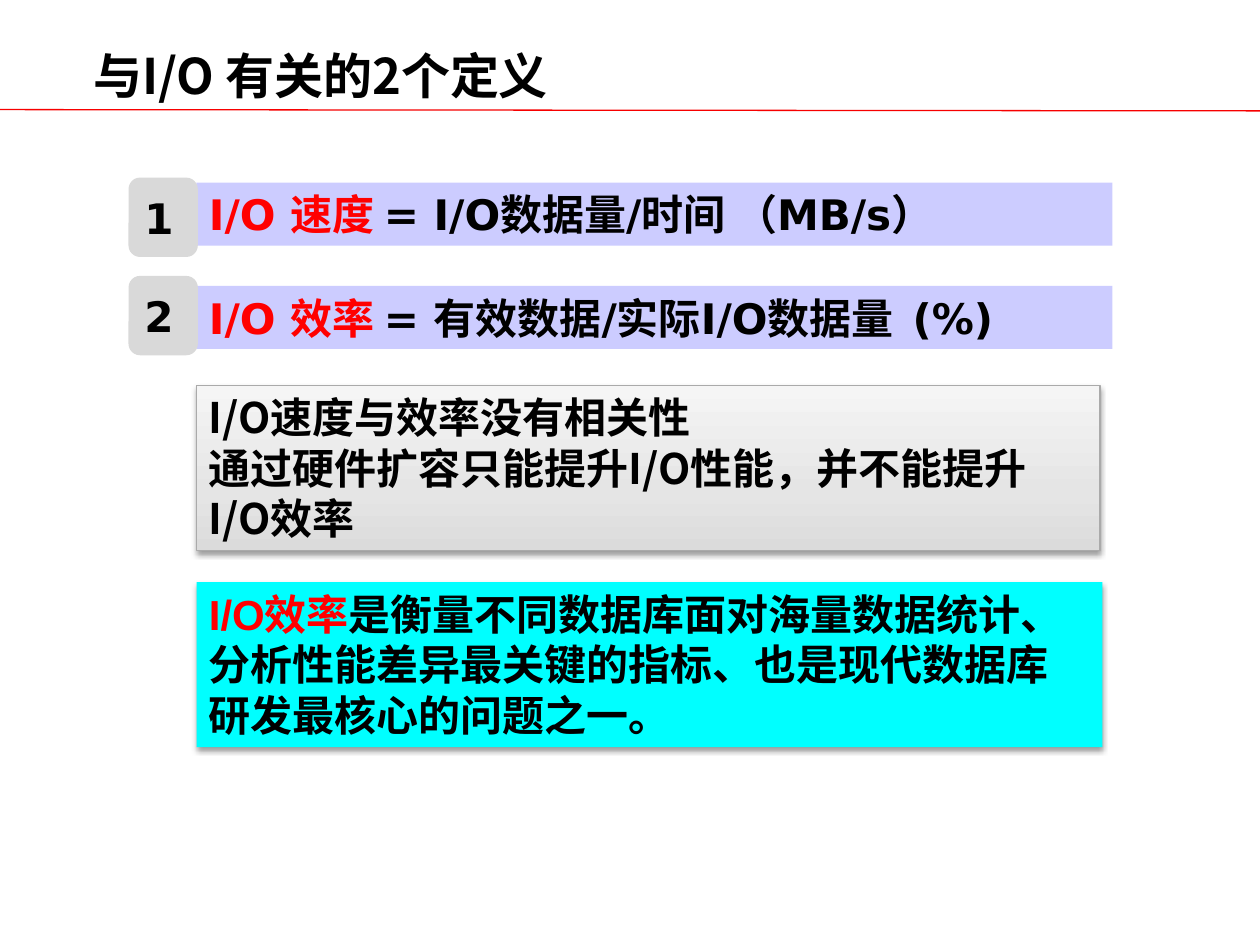
from copy import deepcopy
from dataclasses import dataclass

from lxml import etree
from pptx import Presentation
from pptx.dml.color import RGBColor
from pptx.enum.shapes import MSO_CONNECTOR, MSO_SHAPE
from pptx.enum.text import MSO_ANCHOR, MSO_AUTO_SIZE, PP_ALIGN
from pptx.oxml.ns import qn
from pptx.util import Inches, Pt

RECTANGLE, ROUNDED = MSO_SHAPE.RECTANGLE, MSO_SHAPE.ROUNDED_RECTANGLE
STRAIGHT = MSO_CONNECTOR.STRAIGHT
TOP, MIDDLE = MSO_ANCHOR.TOP, MSO_ANCHOR.MIDDLE
LEFT = PP_ALIGN.LEFT
GROW = MSO_AUTO_SIZE.SHAPE_TO_FIT_TEXT

BLACK = RGBColor(0x00, 0x00, 0x00)
RED = RGBColor(0xFF, 0x00, 0x00)
RULE_RED = RGBColor(0xF7, 0x00, 0x00)
CYAN = RGBColor(0x00, 0xFF, 0xFF)
LAVENDER = RGBColor(0xCC, 0xCC, 0xFF)
BADGE_GRAY = RGBColor(0xD9, 0xD9, 0xD9)
BORDER_GRAY = RGBColor(0xAA, 0xAA, 0xAA)
GRADIENT = [(0, RGBColor(0xDB, 0xDB, 0xDB)), (0.35, RGBColor(0xE5, 0xE5, 0xE5)),
            (1, RGBColor(0xF5, 0xF5, 0xF5))]

CJK_FONT, LATIN_FONT, FORMULA_FONT = "Noto Sans CJK SC", "Arial", "DejaVu Sans"
CONTENT_LEFT = 1.56


@dataclass
class Piece:
    text: str
    font: str
    color: RGBColor = BLACK


@dataclass
class Definition:
    number: str
    term: str
    formula: str
    bar_top: float
    badge_top: float


DEFINITIONS = [
    Definition("1", "I/O 速度 ", "= I/O数据量/时间 （MB/s）", 1.45, 1.41),
    Definition("2", "I/O 效率 ", "= 有效数据/实际I/O数据量  (%)", 2.27, 2.19),
]


def format_run(run, font: str, size: int, color: RGBColor) -> None:
    run.font.name = font
    run.font.size = Pt(size)
    run.font.bold = True
    run.font.color.rgb = color
    east_asian = etree.Element(qn("a:ea"), typeface=CJK_FONT)
    run.font._element.find(qn("a:latin")).addnext(east_asian)


def write_paragraphs(text_frame, paragraphs: list[list[Piece]]) -> None:
    for index, pieces in enumerate(paragraphs):
        paragraph = text_frame.add_paragraph() if index else text_frame.paragraphs[0]
        paragraph.alignment = LEFT
        for piece in pieces:
            run = paragraph.add_run()
            run.text = piece.text
            format_run(run, piece.font, 24, piece.color)


def add_box(shapes, kind, left: float, top: float, width: float, height: float,
            paragraphs: list[list[Piece]], fill: RGBColor, anchor=TOP):
    shape = shapes.add_shape(kind, Inches(left), Inches(top), Inches(width), Inches(height))
    shape.shadow.inherit = False
    shape.fill.solid()
    shape.fill.fore_color.rgb = fill
    shape.line.fill.background()
    shape.text_frame.word_wrap = True
    shape.text_frame.vertical_anchor = anchor
    if kind == RECTANGLE:
        shape.text_frame.auto_size = GROW
    write_paragraphs(shape.text_frame, paragraphs)
    return shape


def add_shadow(shape) -> None:
    effects = shape._element.spPr.find(qn("a:effectLst"))
    shadow = etree.SubElement(effects, qn("a:outerShdw"), blurRad=str(Pt(3.1)),
                              dist=str(Pt(1.6)), dir="5400000", rotWithShape="0")
    color = etree.SubElement(shadow, qn("a:srgbClr"), val=str(BLACK))
    etree.SubElement(color, qn("a:alpha"), val="38000")


def apply_gradient(shape) -> None:
    shape.fill.gradient()
    shape.fill.gradient_angle = 90
    stop_list = shape._element.spPr.find(".//" + qn("a:gsLst"))
    stop_list.append(deepcopy(stop_list[-1]))
    for stop, (position, color) in zip(shape.fill.gradient_stops, GRADIENT):
        stop.position = position
        stop.color.rgb = color


def add_definition(slide, definition: Definition) -> None:
    shapes = slide.shapes.add_group_shape().shapes
    formula = [Piece(definition.term, FORMULA_FONT, RED),
               Piece(definition.formula, FORMULA_FONT)]
    add_box(shapes, RECTANGLE, CONTENT_LEFT, definition.bar_top, 7.27, 0.5,
            [formula], LAVENDER)
    add_box(shapes, ROUNDED, 1.02, definition.badge_top, 0.55, 0.63,
            [[Piece(definition.number, FORMULA_FONT)]], BADGE_GRAY, MIDDLE)


def main() -> None:
    presentation = Presentation()
    presentation.slide_width, presentation.slide_height = Inches(10), Inches(7.5)
    slide = presentation.slides.add_slide(presentation.slide_layouts[5])

    # Title and the rule beneath it
    title = slide.shapes.title
    title.left, title.top = Inches(0.74), Inches(0.33)
    title.width, title.height = Inches(8.52), Inches(0.53)
    frame = title.text_frame
    frame.margin_left = frame.margin_right = frame.margin_top = frame.margin_bottom = 0
    frame.vertical_anchor = MIDDLE
    frame.text = "与I/O 有关的2个定义"
    frame.paragraphs[0].alignment = LEFT
    format_run(frame.paragraphs[0].runs[0], CJK_FONT, 28, BLACK)

    rule = slide.shapes.add_connector(STRAIGHT, 0, Inches(0.87), Inches(10), Inches(0.88))
    rule.line.color.rgb = RULE_RED
    rule.line.width = Pt(0.75)
    etree.SubElement(rule._element.spPr, qn("a:effectLst"))

    # Remark on speed and efficiency
    remark = add_box(slide.shapes, RECTANGLE, CONTENT_LEFT, 3.06, 7.17, 1.31, [
        [Piece("I/O速度与效率没有相关性", CJK_FONT)],
        [Piece("通过硬件扩容只能提升I/O性能，并不能提升I/O效率", CJK_FONT)],
    ], BADGE_GRAY)
    apply_gradient(remark)
    remark.line.color.rgb = BORDER_GRAY
    remark.line.width = Pt(0.75)
    add_shadow(remark)

    # Conclusion
    conclusion = add_box(slide.shapes, RECTANGLE, CONTENT_LEFT, 4.62, 7.19, 1.31, [[
        Piece("I/O效率", LATIN_FONT, RED),
        Piece("是衡量不同数据库面对海量数据统计、分析性能差异最关键的指标、"
              "也是现代数据库研发最核心的问题之一。", LATIN_FONT),
    ]], CYAN)
    add_shadow(conclusion)

    # Numbered definitions
    for definition in DEFINITIONS:
        add_definition(slide, definition)

    presentation.save("out.pptx")


if __name__ == "__main__":
    main()
